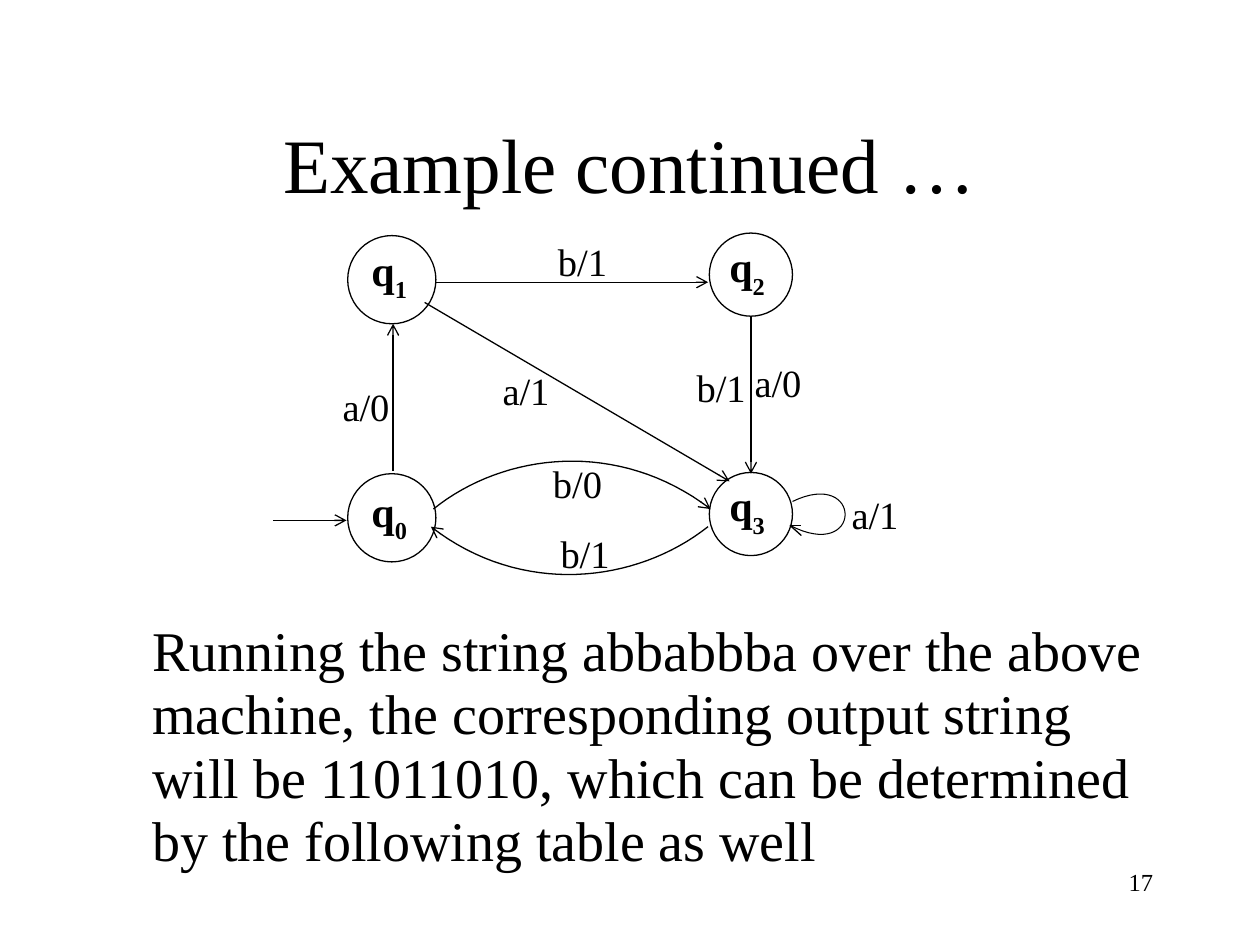
from dataclasses import dataclass

import pptx
import pptx.dml.color
import pptx.enum.shapes
import pptx.enum.text
import pptx.oxml
import pptx.oxml.ns
import pptx.util

ALIGN = pptx.enum.text.PP_ALIGN
ANCHOR = pptx.enum.text.MSO_ANCHOR


@dataclass(frozen=True)
class Theme:
    font: str = "Times New Roman"
    ink: str = "000000"
    paper: str = "FFFFFF"
    title: float = 44
    body: float = 32
    state: float = 24
    label: float = 22
    page: float = 14
    stroke: float = 0.75
    loop_stroke: float = 0.6


def rgb(code):
    return pptx.dml.color.RGBColor.from_string(code)


def write_text(frame, text, *, theme, size, bold=False, subscript="",
               align=ALIGN.LEFT, anchor=ANCHOR.TOP, spacing=None):
    frame.word_wrap = True
    frame.vertical_anchor = anchor
    paragraph = frame.paragraphs[0]
    paragraph.alignment = align
    paragraph.line_spacing = spacing
    for part, baseline in ((text, None), (subscript, "-30000")):
        if not part:
            continue
        run = paragraph.add_run()
        run.text = part
        run.font.name = theme.font
        run.font.size = pptx.util.Pt(size)
        run.font.bold = bold
        run.font.color.rgb = rgb(theme.ink)
        if baseline:
            run._r.get_or_add_rPr().set("baseline", baseline)


def cubic(start, control_1, control_2, end, steps=32):
    """Points along a cubic Bézier curve."""
    points = []
    for step in range(steps + 1):
        t = step / steps
        weights = ((1 - t) ** 3, 3 * t * (1 - t) ** 2, 3 * t * t * (1 - t), t ** 3)
        points.append(tuple(sum(w * value for w, value in zip(weights, axis))
                            for axis in zip(start, control_1, control_2, end)))
    return points


class Diagram:
    """Style and slide; lengths are cells of a 100 by 75 grid."""

    COLUMNS, ROWS = 100, 75

    def __init__(self, deck, theme):
        self.theme = theme
        self.slide = deck.slides.add_slide(deck.slide_layouts[5])
        self.column = deck.slide_width / self.COLUMNS
        self.row = deck.slide_height / self.ROWS
        self.slide.background.fill.solid()
        self.slide.background.fill.fore_color.rgb = rgb(theme.paper)

    def place(self, x, y):
        return round(x * self.column), round(y * self.row)

    def title(self, text, left, top, width, height):
        heading = self.slide.shapes.title
        heading.left, heading.top = self.place(left, top)
        heading.width, heading.height = self.place(width, height)
        write_text(heading.text_frame, text, theme=self.theme, size=self.theme.title,
                   align=ALIGN.CENTER, anchor=ANCHOR.MIDDLE)

    def text(self, text, left, top, width, height, **style):
        box = self.slide.shapes.add_textbox(*self.place(left, top),
                                            *self.place(width, height))
        write_text(box.text_frame, text, theme=self.theme, **style)

    def label(self, text, left, top):
        self.text(text, left, top, 10.1, 4.1, size=self.theme.label)

    def stroke(self, shape, width=None, arrow=False):
        shape.line.color.rgb = rgb(self.theme.ink)
        shape.line.width = pptx.util.Pt(width or self.theme.stroke)
        if arrow:
            tail = pptx.oxml.parse_xml(
                f'<a:tailEnd {pptx.oxml.ns.nsdecls("a")} type="arrow"/>')
            shape.line._get_or_add_ln().append(tail)

    def state(self, number, left, top, diameter, inset):
        circle = self.slide.shapes.add_shape(
            pptx.enum.shapes.MSO_SHAPE.OVAL, *self.place(left, top),
            *self.place(diameter, diameter))
        circle.shadow.inherit = False
        circle.fill.solid()
        circle.fill.fore_color.rgb = rgb(self.theme.paper)
        self.stroke(circle)
        self.text("q", left + inset[0], top + inset[1], 9.6, 4.5,
                  size=self.theme.state, bold=True, subscript=number)

    def line(self, start, end, arrow=True):
        edge = self.slide.shapes.add_connector(
            pptx.enum.shapes.MSO_CONNECTOR.STRAIGHT, *self.place(*start),
            *self.place(*end))
        self.stroke(edge, arrow=arrow)
        edge._element.spPr.append(pptx.oxml.parse_xml(
            f'<a:effectLst {pptx.oxml.ns.nsdecls("a")}/>'))

    def curve(self, *controls, width=None, arrow=True):
        points = [self.place(*point) for point in cubic(*controls)]
        builder = self.slide.shapes.build_freeform(*points[0])
        builder.add_line_segments(points[1:], close=False)
        arc = builder.convert_to_shape()
        arc.shadow.inherit = False
        arc.fill.background()
        self.stroke(arc, width, arrow)


STATES = [
    ("0", 27.6, 37.6, 7, (0.9, 0.4)),
    ("1", 27.6, 18.7, 7, (0.9, 0.2)),
    ("2", 56.3, 18.5, 6.6, (0.6, 0.1)),
    ("3", 56.3, 37.5, 6.6, (0.6, 0.1)),
]
TRANSITIONS = [
    ((21.7, 41.3), (27.5, 41.3)),
    ((31.2, 37.4), (31.2, 25.7)),
    ((34.6, 22.4), (56.2, 22.4)),
    ((33.7, 24), (57.9, 38.2)),
    ((59.6, 25.1), (59.6, 37.6)),
]
ARCS = [
    ((34.4, 40.4), (40, 35.9), (49.1, 34.8), (56.4, 40.4)),
    ((56.2, 41.8), (50.5, 46.3), (41.4, 47.4), (34.2, 41.8)),
]
LOOP = ((62.9, 39.8), (68.5, 37.1), (68.5, 44.7), (62.7, 41.7))
LOOP_BARBS = [(63.6, 42.5), (63.6, 41.7)]
LABELS = [
    ("a/0", 26.2, 29.9), ("b/1", 43.3, 18.4), ("a/1", 38.9, 28.6),
    ("b/1", 54.3, 28.4), ("a/0", 58.9, 28), ("b/0", 42.9, 36),
    ("b/1", 43.5, 41.6), ("a/1", 66.6, 38.5),
]


def main():
    deck = pptx.Presentation()
    deck.slide_width = pptx.util.Inches(10)
    deck.slide_height = pptx.util.Inches(7.5)
    theme = Theme()
    machine = Diagram(deck, theme)

    machine.title("Example continued …", 7.5, 6.7, 85, 12.5)
    for state in STATES:
        machine.state(*state)
    for start, end in TRANSITIONS:
        machine.line(start, end)
    for arc in ARCS:
        machine.curve(*arc)
    machine.curve(*LOOP, width=theme.loop_stroke, arrow=False)
    for barb in LOOP_BARBS:
        machine.line(LOOP[-1], barb, arrow=False)
    for label in LABELS:
        machine.label(*label)

    machine.text("Running the string abbabbba over the above machine, the "
                 "corresponding output string will be 11011010, which can be "
                 "determined by the following table as well",
                 11.1, 48.8, 81.2, 21.2, size=theme.body, spacing=0.94)
    machine.text("17", 71.7, 68.3, 20.8, 5, size=theme.page, align=ALIGN.RIGHT)
    deck.save("out.pptx")


if __name__ == "__main__":
    main()
